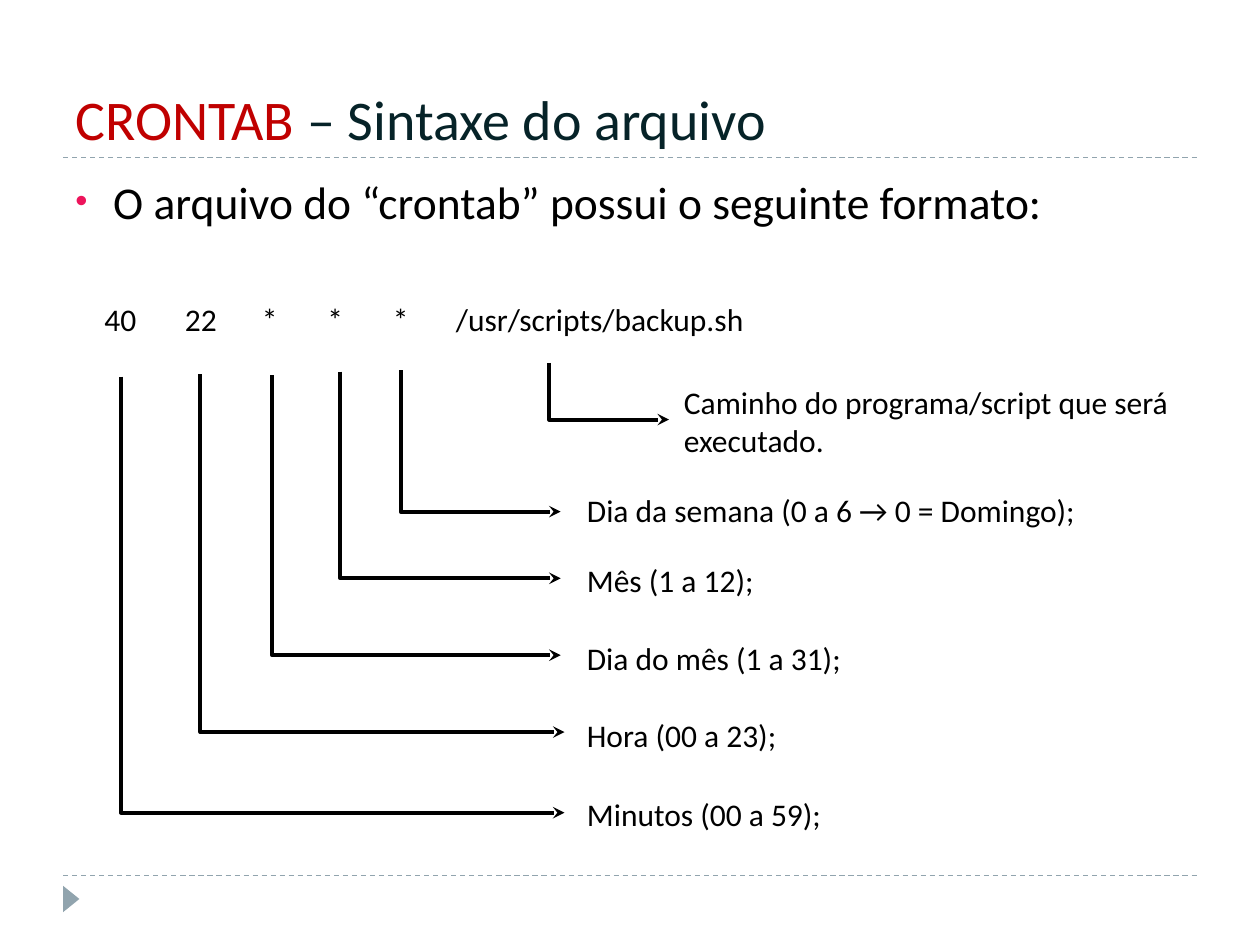
import pptx
import pptx.dml.color
import pptx.enum.dml
import pptx.enum.shapes
import pptx.enum.text
import pptx.oxml.ns
import pptx.util
from lxml import etree

# Grid of 100 columns by 75 rows; boxes are (left, top, width, height).
COLUMNS, ROWS = 100, 75
CELL = pptx.util.Inches(0.1)
FONT = "Calibri"
BLACK, RED, DARK, GREY, PINK = "000000", "C00000", "062328", "91A4AE", "ED145B"

HEADER = (5, 1.7, 90, 10.8)
BODY = (5, 13.3, 90, 8)
DIAGRAM = (5, 23.3, 92.3, 43.3)
FOOTER = (5, 69.5, 90, 3)

# Column where each field starts, measured from the start of the command line.
FIELDS = [("40", 0), ("22", 6.4), ("*", 12.5), ("*", 17.7), ("*", 22.9),
          ("/usr/scripts/backup.sh", 27.9)]

# Within the diagram: arrow start, arrow end, then label, its place and width.
EXPLANATIONS = [
    ((38.6, 5.5), (48.1, 10), "Caminho do programa/script que será executado.", (48.3, 6.6), 44),
    ((26.8, 6.1), (39.5, 17.3), "Dia da semana (0 a 6 → 0 = Domingo);", (40.6, 15.2), 50.1),
    ((22, 6.2), (39.5, 22.6), "Mês (1 a 12);", (40.6, 20.7), 44),
    ((16.6, 6.5), (39.5, 28.7), "Dia do mês (1 a 31);", (40.6, 26.9), 44),
    ((10.9, 6.4), (39.8, 34.8), "Hora (00 a 23);", (40.6, 33), 44),
    ((4.6, 6.6), (39.8, 41.2), "Minutos (00 a 59);", (40.6, 39.3), 44),
]


def grid(*values):
    return [round(value * CELL) for value in values]


def rgb(color):
    return pptx.dml.color.RGBColor.from_string(color)


def add_xml(parent, tag, **attributes):
    names = {name: str(value) for name, value in attributes.items()}
    return etree.SubElement(parent, pptx.oxml.ns.qn(tag), names)


def add_text(slide, box, runs, size=18, anchor="TOP"):
    """Add a text box of (text, color) runs and return its paragraph."""
    frame = slide.shapes.add_textbox(*grid(*box)).text_frame
    frame.word_wrap = True
    frame.vertical_anchor = getattr(pptx.enum.text.MSO_ANCHOR, anchor)
    paragraph = frame.paragraphs[0]
    for text, color in runs:
        run = paragraph.add_run()
        run.text = text
        run.font.name = FONT
        run.font.size = pptx.util.Pt(size)
        run.font.color.rgb = rgb(color)
    return paragraph


def add_line(slide, start, end, color, width, kind="STRAIGHT"):
    connector = slide.shapes.add_connector(
        getattr(pptx.enum.shapes.MSO_CONNECTOR, kind), *grid(*start, *end))
    connector.line.color.rgb = rgb(color)
    connector.line.width = pptx.util.Pt(width)
    add_xml(connector._element.spPr, "a:effectLst")
    return connector


def add_rule(slide, left, top, width):
    rule = add_line(slide, (left, top), (left + width, top), GREY, 0.75)
    rule.line.dash_style = pptx.enum.dml.MSO_LINE.DASH


def add_elbow_arrow(slide, start, end):
    """Draw an arrow that goes straight down and then right."""
    arrow = add_line(slide, start, end, BLACK, 2.25, "ELBOW")
    properties = arrow._element.spPr
    geometry = properties.find(pptx.oxml.ns.qn("a:prstGeom"))
    adjustments = geometry.find(pptx.oxml.ns.qn("a:avLst"))
    add_xml(adjustments, "a:gd", name="adj1", fmla="val 0")
    add_xml(arrow.line._get_or_add_ln(), "a:tailEnd", type="stealth")


def add_header(slide, box):
    left, top, width, height = box
    add_text(slide, box, [("CRONTAB", RED), (" – Sintaxe do arquivo", DARK)],
             size=32, anchor="BOTTOM")
    add_rule(slide, left, top + height, width)


def add_body(slide, box):
    paragraph = add_text(
        slide, box, [("O arquivo do “crontab” possui o seguinte formato:", BLACK)], size=26)
    paragraph.space_before = pptx.util.Pt(6)
    properties = paragraph._p.get_or_add_pPr()
    indent, = grid(3)
    properties.set("marL", str(indent))
    properties.set("indent", str(-indent))
    add_xml(add_xml(properties, "a:buClr"), "a:srgbClr", val=PINK)
    add_xml(properties, "a:buSzPct", val=76000)
    add_xml(properties, "a:buFont", typeface="Arial")
    add_xml(properties, "a:buChar", char="•")


def add_command_line(slide, box):
    text = "\t".join(field for field, _ in FIELDS)
    paragraph = add_text(slide, box, [(text, BLACK)])
    stops = add_xml(paragraph._p.get_or_add_pPr(), "a:tabLst")
    for _, column in FIELDS[1:]:
        add_xml(stops, "a:tab", pos=grid(column)[0], algn="l")


def add_diagram(slide, box):
    left, top, _, _ = box
    add_command_line(slide, (left + 2.3, top, 56, 4))
    for start, end, label, (column, row), width in EXPLANATIONS:
        add_elbow_arrow(slide, (left + start[0], top + start[1]),
                        (left + end[0], top + end[1]))
        add_text(slide, (left + column, top + row, width, 4), [(label, BLACK)])


def add_footer(slide, box):
    left, top, width, _ = box
    add_rule(slide, left, top, width)
    marker = slide.shapes.add_shape(
        pptx.enum.shapes.MSO_SHAPE.ISOSCELES_TRIANGLE,
        *grid(left - 0.4, top + 1.2, 2.1, 1.3))
    marker.rotation = 90
    marker.shadow.inherit = False
    marker.fill.solid()
    marker.fill.fore_color.rgb = rgb(GREY)
    marker.line.fill.background()


def main():
    presentation = pptx.Presentation()
    presentation.slide_width, presentation.slide_height = grid(COLUMNS, ROWS)
    slide = presentation.slides.add_slide(presentation.slide_layouts[6])
    add_footer(slide, FOOTER)
    add_header(slide, HEADER)
    add_body(slide, BODY)
    add_diagram(slide, DIAGRAM)
    presentation.save("out.pptx")


if __name__ == "__main__":
    main()
